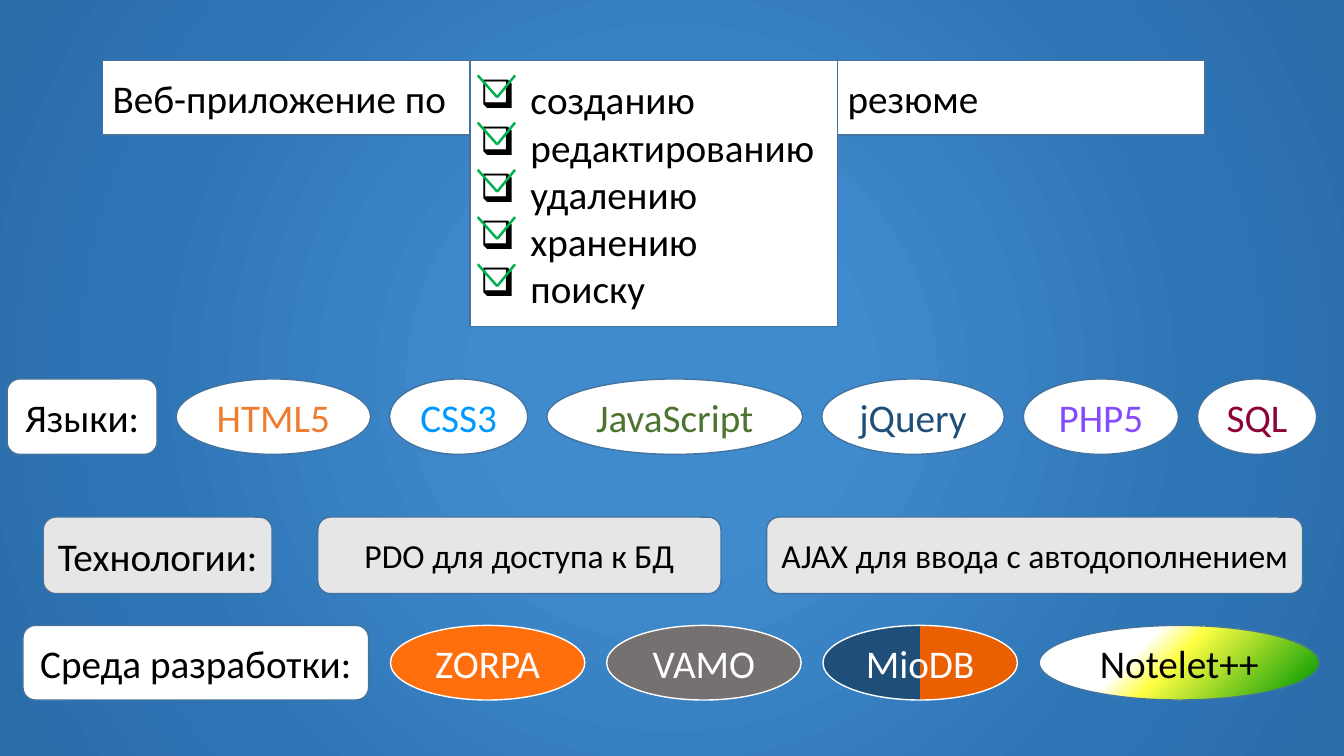
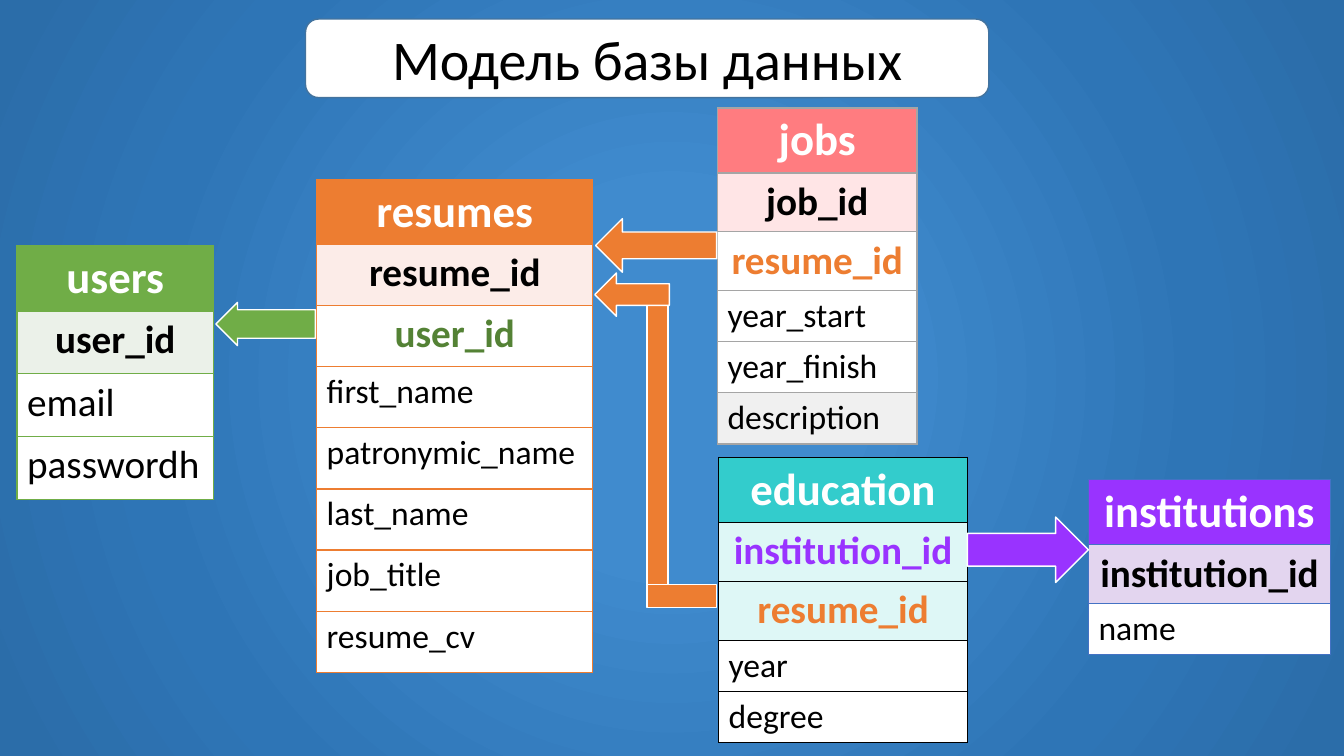
from dataclasses import dataclass
from itertools import pairwise

from lxml.etree import SubElement
from pptx import Presentation
from pptx.dml.color import RGBColor
from pptx.enum.shapes import MSO_CONNECTOR, MSO_SHAPE
from pptx.enum.text import MSO_ANCHOR, PP_ALIGN
from pptx.oxml.ns import qn
from pptx.util import Cm, Pt

WHITE = RGBColor(0xFF, 0xFF, 0xFF)
BLACK = RGBColor(0x00, 0x00, 0x00)
OUTLINE = RGBColor(0x43, 0x73, 0x9E)
LIGHT_GRAY = RGBColor(0xE7, 0xE6, 0xE6)
DARK_GRAY = RGBColor(0x76, 0x71, 0x71)
ROW_GRAY = RGBColor(0xF0, 0xF0, 0xF0)
BORDER_GRAY = RGBColor(0xA5, 0xA5, 0xA5)
TICK_GREEN = RGBColor(0x00, 0xB0, 0x50)
LEAF_GREEN = RGBColor(0x70, 0xAD, 0x47)
KEY_GREEN = RGBColor(0x54, 0x82, 0x35)
SCRIPT_GREEN = RGBColor(0x4C, 0x74, 0x30)
EDITOR_GREEN = RGBColor(0x00, 0x99, 0x00)
PALE_GREEN = RGBColor(0xEB, 0xF1, 0xE9)
YELLOW = RGBColor(0xFF, 0xFF, 0x43)
ORANGE = RGBColor(0xED, 0x7D, 0x31)
BRIGHT_ORANGE = RGBColor(0xFF, 0x6F, 0x0D)
DEEP_ORANGE = RGBColor(0xEA, 0x5F, 0x00)
PALE_ORANGE = RGBColor(0xFC, 0xEC, 0xE8)
SKY_BLUE = RGBColor(0x00, 0x99, 0xFF)
NAVY = RGBColor(0x1F, 0x4E, 0x79)
BORDER_BLUE = RGBColor(0x44, 0x72, 0xC4)
VIOLET = RGBColor(0x87, 0x4B, 0xFF)
PURPLE = RGBColor(0x99, 0x33, 0xFF)
PALE_PURPLE = RGBColor(0xE3, 0xD5, 0xEF)
WINE = RGBColor(0x8E, 0x00, 0x39)
PINK = RGBColor(0xFF, 0x7C, 0x80)
PALE_PINK = RGBColor(0xFF, 0xE5, 0xE6)
TEAL = RGBColor(0x33, 0xCC, 0xCC)
PALE_TEAL = RGBColor(0xDE, 0xF7, 0xF6)

BACKGROUND_STOPS = (
    (0, RGBColor(0x40, 0x8B, 0xCE)),
    (23, RGBColor(0x40, 0x8B, 0xCE)),
    (69, RGBColor(0x2E, 0x75, 0xB6)),
    (97, RGBColor(0x2B, 0x6D, 0xA9)),
)
DATABASE_STOPS = ((0, NAVY), (50, NAVY), (50, DEEP_ORANGE), (100, DEEP_ORANGE))
EDITOR_STOPS = ((0, WHITE), (35, WHITE), (48, YELLOW), (97, EDITOR_GREEN))

FONT_NAME = "Calibri"
ROW_STYLES = {
    "header": {"size": 32, "bold": True, "alignment": PP_ALIGN.CENTER, "height": 1.64},
    "key": {"size": 28, "bold": True, "alignment": PP_ALIGN.CENTER, "height": 1.48},
    "large": {"size": 28, "bold": False, "alignment": PP_ALIGN.LEFT, "height": 1.48},
    "field": {"size": 24, "bold": False, "alignment": PP_ALIGN.LEFT, "height": 1.29},
}
ACTIONS = ("созданию", "редактированию", "удалению", "хранению", "поиску")


@dataclass
class Badge:
    """One labelled outline in a row of badges."""

    text: str
    width: float
    preset: MSO_SHAPE = MSO_SHAPE.OVAL
    fill: RGBColor = WHITE
    color: RGBColor = BLACK
    line: RGBColor = OUTLINE
    size: int = 28
    stops: tuple = ()
    angle: int = 0


def set_gradient(fill, owner, stops, angle=None):
    """Apply a linear gradient, or a circular one when no angle is given."""
    fill.gradient()
    gradient = owner.xpath(".//a:gradFill")[0]
    gradient.clear()
    stop_list = SubElement(gradient, qn("a:gsLst"))
    for position, color in stops:
        stop = SubElement(stop_list, qn("a:gs"), pos=str(position * 1000))
        SubElement(stop, qn("a:srgbClr"), val=str(color))
    if angle is None:
        circle = SubElement(gradient, qn("a:path"), path="circle")
        center = {side: "50000" for side in "ltrb"}
        SubElement(circle, qn("a:fillToRect"), center)
    else:
        SubElement(gradient, qn("a:lin"), ang=str(angle * 60000), scaled="0")


def write_paragraph(paragraph, text, size, color, alignment, bold=False):
    """Fill a paragraph with one formatted run."""
    paragraph.alignment = alignment
    run = paragraph.add_run()
    run.text = text
    format_values = {"name": FONT_NAME, "size": Pt(size), "bold": bold}
    for name, value in format_values.items():
        setattr(run.font, name, value)
    run.font.color.rgb = color


def add_box(slide, preset, left, top, width, height, fill=WHITE, line=OUTLINE):
    """Add a flat preset shape with a thin outline."""
    shape = slide.shapes.add_shape(preset, Cm(left), Cm(top), Cm(width), Cm(height))
    shape.shadow.inherit = False
    shape.fill.solid()
    shape.fill.fore_color.rgb = fill
    shape.line.color.rgb = line
    shape.line.width = Pt(1)
    return shape


def add_label(shape, lines, size, color=BLACK, alignment=PP_ALIGN.CENTER):
    """Write lines of text in the vertical middle of a shape."""
    frame = shape.text_frame
    frame_values = {
        "vertical_anchor": MSO_ANCHOR.MIDDLE,
        "word_wrap": alignment != PP_ALIGN.CENTER,
    }
    for name, value in frame_values.items():
        setattr(frame, name, value)
    for index, text in enumerate(lines):
        paragraph = frame.add_paragraph() if index else frame.paragraphs[0]
        write_paragraph(paragraph, text, size, color, alignment)


def add_bullets(shape):
    """Give each paragraph of a shape a checkbox bullet."""
    for paragraph in shape.text_frame.paragraphs:
        properties = paragraph._p.get_or_add_pPr()
        properties.set("marL", str(Cm(1.27)))
        properties.set("indent", str(-Cm(1.27)))
        SubElement(properties, qn("a:buChar"), char="❑")


def add_tick(slide, top):
    """Draw a green tick from two lines."""
    points = ((12.04, top), (12.53, top + 0.55), (12.98, top))
    for start, end in pairwise(points):
        ends = [Cm(value) for value in start + end]
        connector = slide.shapes.add_connector(MSO_CONNECTOR.STRAIGHT, *ends)
        connector.line.color.rgb = TICK_GREEN
        connector.line.width = Pt(1.75)
        SubElement(connector._element.spPr, qn("a:effectLst"))


def add_badge_row(slide, left, top, height, gap, badges):
    """Lay out badges from left to right with equal gaps."""
    for badge in badges:
        shape = add_box(
            slide, badge.preset, left, top, badge.width, height, badge.fill, badge.line
        )
        if badge.stops:
            set_gradient(shape.fill, shape._element, badge.stops, badge.angle)
        add_label(shape, [badge.text], badge.size, badge.color)
        left += badge.width + gap


def set_borders(cell, color):
    """Draw a one-point border on all sides of a cell."""
    properties = cell._tc.get_or_add_tcPr()
    for index, side in enumerate(("a:lnL", "a:lnR", "a:lnT", "a:lnB")):
        border = SubElement(properties, qn(side), w=str(Pt(1)))
        fill = SubElement(border, qn("a:solidFill"))
        SubElement(fill, qn("a:srgbClr"), val=str(color))
        properties.insert(index, border)


def add_entity(slide, left, top, width, border, rows, minimum=0):
    """Add a one-column table that describes a database entity."""
    heights = [max(minimum, ROW_STYLES[kind]["height"]) for _, kind, _, _ in rows]
    table = slide.shapes.add_table(
        len(rows), 1, Cm(left), Cm(top), Cm(width), Cm(sum(heights))
    ).table
    for name in ("first_row", "horz_banding"):
        setattr(table, name, False)
    for index, (text, kind, fill, color) in enumerate(rows):
        table.rows[index].height = Cm(heights[index])
        cell = table.cell(index, 0)
        cell.fill.solid()
        cell.fill.fore_color.rgb = fill
        set_borders(cell, border)
        style = ROW_STYLES[kind]
        write_paragraph(
            cell.text_frame.paragraphs[0], text, style["size"], color,
            style["alignment"], style["bold"],
        )


def plain_rows(names, kind="field"):
    """Describe white rows with black text."""
    return [(name, kind, WHITE, BLACK) for name in names]


def build_tools_slide(slide):
    """Show the purpose of the application and its tools."""
    panels = ((["Веб-приложение по"], 1.88), (ACTIONS, 6.71), (["резюме"], 1.88))
    for index, (lines, height) in enumerate(panels):
        left = 2.59 + 9.26 * index
        panel = add_box(slide, MSO_SHAPE.RECTANGLE, left, 1.52, 9.26, height)
        add_label(panel, lines, 28, alignment=PP_ALIGN.LEFT)
        if lines is ACTIONS:
            add_bullets(panel)
    for index in range(len(ACTIONS)):
        add_tick(slide, 1.9 + 1.19 * index)

    rounded = MSO_SHAPE.ROUNDED_RECTANGLE
    languages = [
        Badge("Языки:", 3.78, rounded),
        Badge("HTML5", 4.9, color=ORANGE),
        Badge("CSS3", 3.48, color=SKY_BLUE),
        Badge("JavaScript", 6.45, color=SCRIPT_GREEN),
        Badge("jQuery", 4.6, color=NAVY),
        Badge("PHP5", 3.91, color=VIOLET),
        Badge("SQL", 3, color=WINE),
    ]
    technologies = [
        Badge("Технологии:", 5.77, rounded, LIGHT_GRAY),
        Badge("PDO для доступа к БД", 10.16, rounded, LIGHT_GRAY, size=24),
        Badge("AJAX для ввода с автодополнением", 13.51, rounded, LIGHT_GRAY, size=24),
    ]
    environment = [
        Badge("Среда разработки:", 8.71, rounded),
        Badge("ZORPA", 4.9, fill=BRIGHT_ORANGE, color=WHITE, line=WHITE),
        Badge("VAMO", 4.9, fill=DARK_GRAY, color=WHITE, line=WHITE),
        Badge("MioDB", 4.9, color=WHITE, line=WHITE, stops=DATABASE_STOPS),
        Badge("Notelet++", 7.06, stops=EDITOR_STOPS, angle=45),
    ]
    add_badge_row(slide, 0.18, 9.55, 1.9, 0.48, languages)
    add_badge_row(slide, 1.09, 13.03, 1.93, 1.15, technologies)
    add_badge_row(slide, 0.58, 15.76, 1.88, 0.55, environment)


def build_model_slide(slide):
    """Show the database entities and their references."""
    add_entity(slide, 0.43, 6.2, 4.95, LEAF_GREEN, [
        ("users", "header", LEAF_GREEN, WHITE),
        ("user_id", "key", PALE_GREEN, BLACK),
        *plain_rows(("email", "passwordh"), "large"),
    ], 1.58)
    add_entity(slide, 7.98, 4.52, 6.96, ORANGE, [
        ("resumes", "header", ORANGE, WHITE),
        ("resume_id", "key", PALE_ORANGE, BLACK),
        ("user_id", "key", WHITE, KEY_GREEN),
        *plain_rows(
            ("first_name", "patronymic_name", "last_name", "job_title", "resume_cv")
        ),
    ], 1.54)
    add_entity(slide, 18.08, 2.72, 5.03, BORDER_GRAY, [
        ("jobs", "header", PINK, WHITE),
        ("job_id", "key", PALE_PINK, BLACK),
        ("resume_id", "key", WHITE, ORANGE),
        *plain_rows(("year_start", "year_finish")),
        ("description", "field", ROW_GRAY, BLACK),
    ])
    add_entity(slide, 18.11, 11.53, 6.27, BLACK, [
        ("education", "header", TEAL, WHITE),
        ("institution_id", "key", PALE_TEAL, PURPLE),
        ("resume_id", "key", PALE_TEAL, ORANGE),
        *plain_rows(("year", "degree")),
    ])
    add_entity(slide, 27.43, 12.09, 6.1, BORDER_BLUE, [
        ("institutions", "header", PURPLE, WHITE),
        ("institution_id", "key", PALE_PURPLE, BLACK),
        *plain_rows(["name"]),
    ])

    references = (
        (MSO_SHAPE.LEFT_ARROW, 5.44, 7.62, 2.51, 1.09, LEAF_GREEN, 0.66),
        (MSO_SHAPE.LEFT_ARROW, 15.01, 5.51, 3.05, 1.35, ORANGE, 0.5),
        (MSO_SHAPE.RIGHT_ARROW, 24.38, 13.03, 3.05, 1.65, PURPLE, 0.5),
        (MSO_SHAPE.RECTANGLE, 16.31, 7.34, 0.53, 7.62, ORANGE, None),
        (MSO_SHAPE.LEFT_ARROW, 14.99, 6.88, 1.88, 1.09, ORANGE, 0.5),
        (MSO_SHAPE.RECTANGLE, 16.31, 14.73, 1.75, 0.58, ORANGE, None),
    )
    for preset, left, top, width, height, fill, thickness in references:
        shape = add_box(slide, preset, left, top, width, height, fill, WHITE)
        if thickness:
            shape.adjustments[0] = thickness

    title = add_box(slide, MSO_SHAPE.ROUNDED_RECTANGLE, 7.7, 0.48, 17.22, 1.98)
    add_label(title, ["Модель базы данных"], 40)


def main():
    """Build and save the presentation."""
    presentation = Presentation()
    presentation.slide_width = Cm(33.87)
    presentation.slide_height = Cm(19.05)
    master = presentation.slide_master
    set_gradient(master.background.fill, master._element, BACKGROUND_STOPS)
    for build in (build_tools_slide, build_model_slide):
        build(presentation.slides.add_slide(presentation.slide_layouts[6]))
    presentation.save("out.pptx")


if __name__ == "__main__":
    main()
